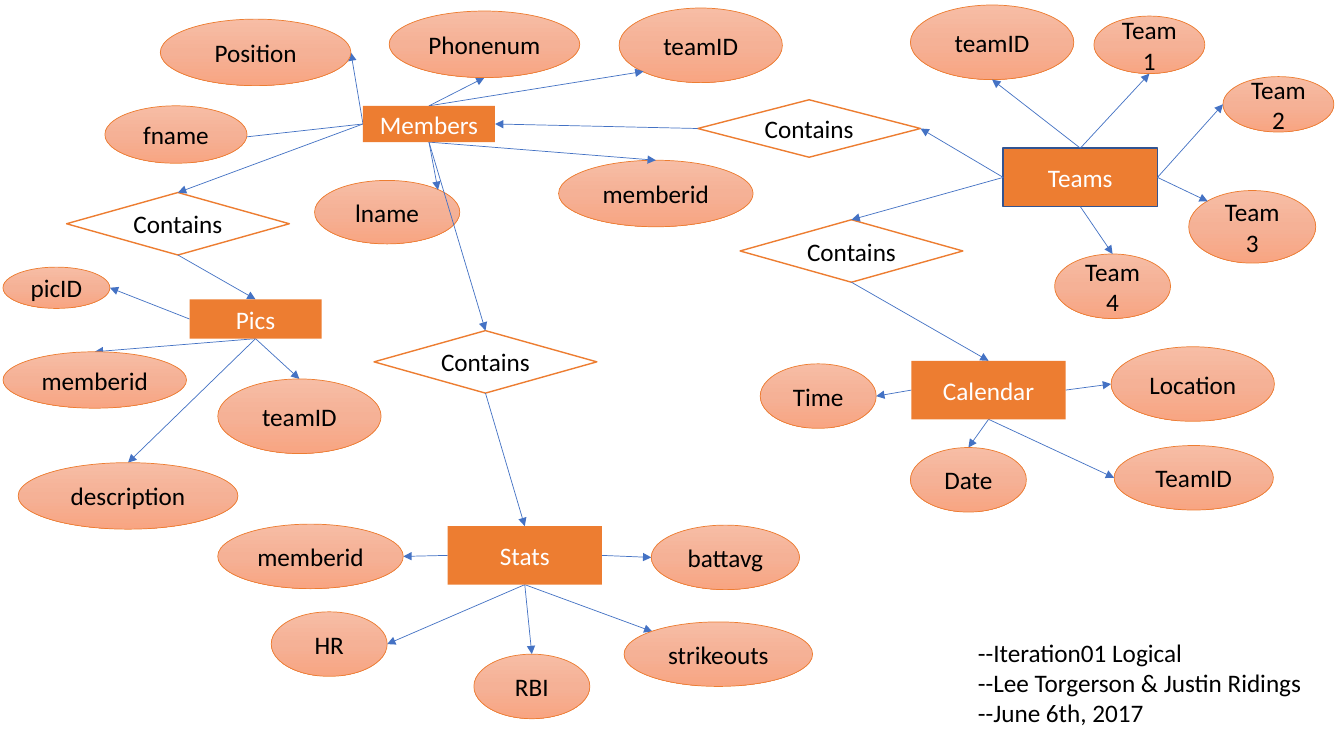
from copy import deepcopy
from lxml.etree import SubElement
from pptx import Presentation
from pptx.dml.color import RGBColor
from pptx.enum.shapes import MSO_CONNECTOR, MSO_SHAPE
from pptx.enum.text import MSO_ANCHOR, MSO_AUTO_SIZE, PP_ALIGN
from pptx.oxml.ns import qn
from pptx.util import Inches, Pt


def rgb(value):
    return RGBColor.from_string(value)


def set_text(shape, text, color, align):
    tf = shape.text_frame
    tf.text = text
    tf.word_wrap = True
    for p in tf.paragraphs:
        p.alignment = align
        for r in p.runs:
            r.font.name = "Calibri"
            r.font.size = Pt(18)
            r.font.color.rgb = rgb(color)


prs = Presentation()
prs.slide_width, prs.slide_height = Inches(13.33), Inches(7.5)
s = prs.slides.add_slide(prs.slide_layouts[6])

ELLIPSE, DIAMOND, RECT = MSO_SHAPE.OVAL, MSO_SHAPE.DIAMOND, MSO_SHAPE.RECTANGLE
GRADIENT = [(0, "F7BDA5"), (0.5, "F5B196"), (1, "F8A582")]

back_nodes = [
    ("Teams/Team 3", ELLIPSE, 11.79, 1.89, 1.26, 0.72),
    ("Calendar/Contains", DIAMOND, 7.34, 2.18, 2.21, 0.62),
    ("Teams/Team 2", ELLIPSE, 12.13, 0.76, 1.1, 0.55),
    ("Teams/Team 1", ELLIPSE, 10.85, 0.16, 1.1, 0.57),
    ("Teams/Team 4", ELLIPSE, 10.46, 2.52, 1.15, 0.64),
    ("Teams", RECT, 9.95, 1.47, 1.53, 0.58),
    ("Members/lname", ELLIPSE, 3.12, 1.79, 1.44, 0.63),
    ("Members/memberid", ELLIPSE, 5.54, 1.59, 1.93, 0.66),
    ("Pics/Contains", DIAMOND, 0.66, 1.91, 2.21, 0.62),
    ("Calendar/Time", ELLIPSE, 7.54, 3.61, 1.15, 0.64),
    ("Calendar/TeamID", ELLIPSE, 11.05, 4.42, 1.58, 0.64),
    ("Members/Contains", DIAMOND, 6.92, 0.99, 2.21, 0.57),
    ("Stats/Contains", DIAMOND, 3.71, 3.28, 2.21, 0.62),
    ("Members/teamID", ELLIPSE, 6.14, 0.08, 1.62, 0.74),
    ("Teams/teamID", ELLIPSE, 9.03, 0.05, 1.62, 0.74),
]
front_nodes = [
    ("Members", RECT, 3.6, 1.05, 1.31, 0.36),
    ("Calendar", RECT, 9.04, 3.58, 1.53, 0.58),
    ("Pics", RECT, 1.88, 2.97, 1.31, 0.39),
    ("Stats", RECT, 4.44, 5.22, 1.53, 0.58),
    ("Calendar/Location", ELLIPSE, 11.02, 3.44, 1.62, 0.74),
    ("Calendar/Date", ELLIPSE, 9.03, 4.44, 1.15, 0.64),
    ("Stats/battavg", ELLIPSE, 6.46, 5.21, 1.47, 0.64),
    ("Stats/strikeouts", ELLIPSE, 6.19, 6.17, 1.87, 0.64),
    ("Stats/HR", ELLIPSE, 2.69, 6.07, 1.15, 0.64),
    ("Stats/RBI", ELLIPSE, 4.7, 6.49, 1.15, 0.64),
    ("Stats/memberid", ELLIPSE, 2.16, 5.2, 1.84, 0.64),
    ("Members/fname", ELLIPSE, 1.04, 1.05, 1.41, 0.57),
    ("Members/Phonenum", ELLIPSE, 3.86, 0.11, 1.89, 0.66),
    ("Members/Position", ELLIPSE, 1.59, 0.19, 1.89, 0.66),
    ("Pics/memberid", ELLIPSE, 0.03, 3.49, 1.82, 0.56),
    ("Pics/description", ELLIPSE, 0.18, 4.59, 2.18, 0.66),
    ("Pics/picID", ELLIPSE, 0.03, 2.65, 1.06, 0.41),
    ("Pics/teamID", ELLIPSE, 2.16, 3.76, 1.62, 0.74),
]

nodes = {}
for key, kind, x, y, w, h in back_nodes + front_nodes:
    sp = s.shapes.add_shape(kind, Inches(x), Inches(y), Inches(w), Inches(h))
    sp.shadow.inherit = False
    sp.line.color.rgb = rgb("ED7D31")
    sp.line.width = Pt(0.5 if kind == ELLIPSE else 1)
    if kind == ELLIPSE:
        sp.fill.gradient()
        sp.fill.gradient_angle = 270
        stops = sp._element.spPr.find(".//" + qn("a:gsLst"))
        stops.insert(1, deepcopy(stops[0]))
        for stop, (position, color) in zip(sp.fill.gradient_stops, GRADIENT):
            stop.position = position
            stop.color.rgb = rgb(color)
    else:
        sp.fill.solid()
        sp.fill.fore_color.rgb = rgb("FFFFFF" if kind == DIAMOND else "ED7D31")
    if key == "Teams":
        sp.line.color.rgb = rgb("325491")
    elif kind == RECT:
        sp.line.fill.background()
    set_text(sp, key.split("/")[-1], "FFFFFF" if kind == RECT else "000000", PP_ALIGN.CENTER)
    sp.text_frame.vertical_anchor = MSO_ANCHOR.MIDDLE
    nodes[key] = sp

SITES = {
    "top": (0.5, 0, 0), "top left": (0.15, 0.15, 1), "left": (0, 0.5, 2),
    "bottom left": (0.15, 0.85, 3), "bottom": (0.5, 1, 4),
    "right": (1, 0.5, 6), "top right": (0.85, 0.15, 7),
    "inside": (0.67, 0.63, None),
}
links = [
    ("Members", "left", "Members/Position", "right"),
    ("Members", "left", "Members/fname", "inside"),
    ("Members", "left", "Pics/Contains", "top"),
    ("Members", "top", "Members/Phonenum", "bottom"),
    ("Members", "top", "Members/teamID", "bottom left"),
    ("Members", "bottom", "Members/lname", "top right"),
    ("Members", "bottom", "Members/memberid", "top"),
    ("Members", "bottom", "Stats/Contains", "top"),
    ("Members/Contains", "left", "Members", "right"),
    ("Teams", "left", "Members/Contains", "right"),
    ("Teams", "left", "Calendar/Contains", "top"),
    ("Teams", "top", "Teams/teamID", "bottom"),
    ("Teams", "top", "Teams/Team 1", "bottom"),
    ("Teams", "right", "Teams/Team 2", "left"),
    ("Teams", "right", "Teams/Team 3", "top left"),
    ("Teams", "bottom", "Teams/Team 4", "top"),
    ("Calendar/Contains", "bottom", "Calendar", "top"),
    ("Calendar", "left", "Calendar/Time", "right"),
    ("Calendar", "right", "Calendar/Location", "left"),
    ("Calendar", "bottom", "Calendar/Date", "top"),
    ("Calendar", "bottom", "Calendar/TeamID", "left"),
    ("Pics/Contains", "bottom", "Pics", "top"),
    ("Pics", "left", "Pics/picID", "right"),
    ("Pics", "bottom", "Pics/memberid", "top"),
    ("Pics", "bottom", "Pics/teamID", "top"),
    ("Pics", "bottom", "Pics/description", "top"),
    ("Stats/Contains", "bottom", "Stats", "top"),
    ("Stats", "left", "Stats/memberid", "right"),
    ("Stats", "right", "Stats/battavg", "left"),
    ("Stats", "bottom", "Stats/HR", "right"),
    ("Stats", "bottom", "Stats/RBI", "top"),
    ("Stats", "bottom", "Stats/strikeouts", "top left"),
]

for start, start_site, end, end_site in links:
    points, glue = [], []
    for tag, key, site in (("a:stCxn", start, start_site), ("a:endCxn", end, end_site)):
        sp = nodes[key]
        fx, fy, index = SITES[site]
        points += [int(sp.left + fx * sp.width), int(sp.top + fy * sp.height)]
        if index is not None:
            if sp.auto_shape_type != ELLIPSE:
                index //= 2
            glue.append((tag, sp.shape_id, index))
    link = s.shapes.add_connector(MSO_CONNECTOR.STRAIGHT, *points)
    link.line.color.rgb = rgb("4472C4")
    link.line.width = Pt(0.5)
    SubElement(link.line._get_or_add_ln(), qn("a:tailEnd"), type="triangle")
    SubElement(link._element.spPr, qn("a:effectLst"))
    for tag, shape_id, index in glue:
        SubElement(link._element.nvCxnSpPr.cNvCxnSpPr, qn(tag), id=str(shape_id), idx=str(index))

for key, *_ in front_nodes:
    s.shapes._spTree.append(nodes[key]._element)

credits = s.shapes.add_textbox(Inches(9.6), Inches(6.27), Inches(3.48), Inches(1))
set_text(credits, "--Iteration01 Logical\n--Lee Torgerson & Justin Ridings\n--June 6th, 2017",
         "000000", PP_ALIGN.LEFT)
credits.text_frame.auto_size = MSO_AUTO_SIZE.SHAPE_TO_FIT_TEXT

prs.save("out.pptx")
